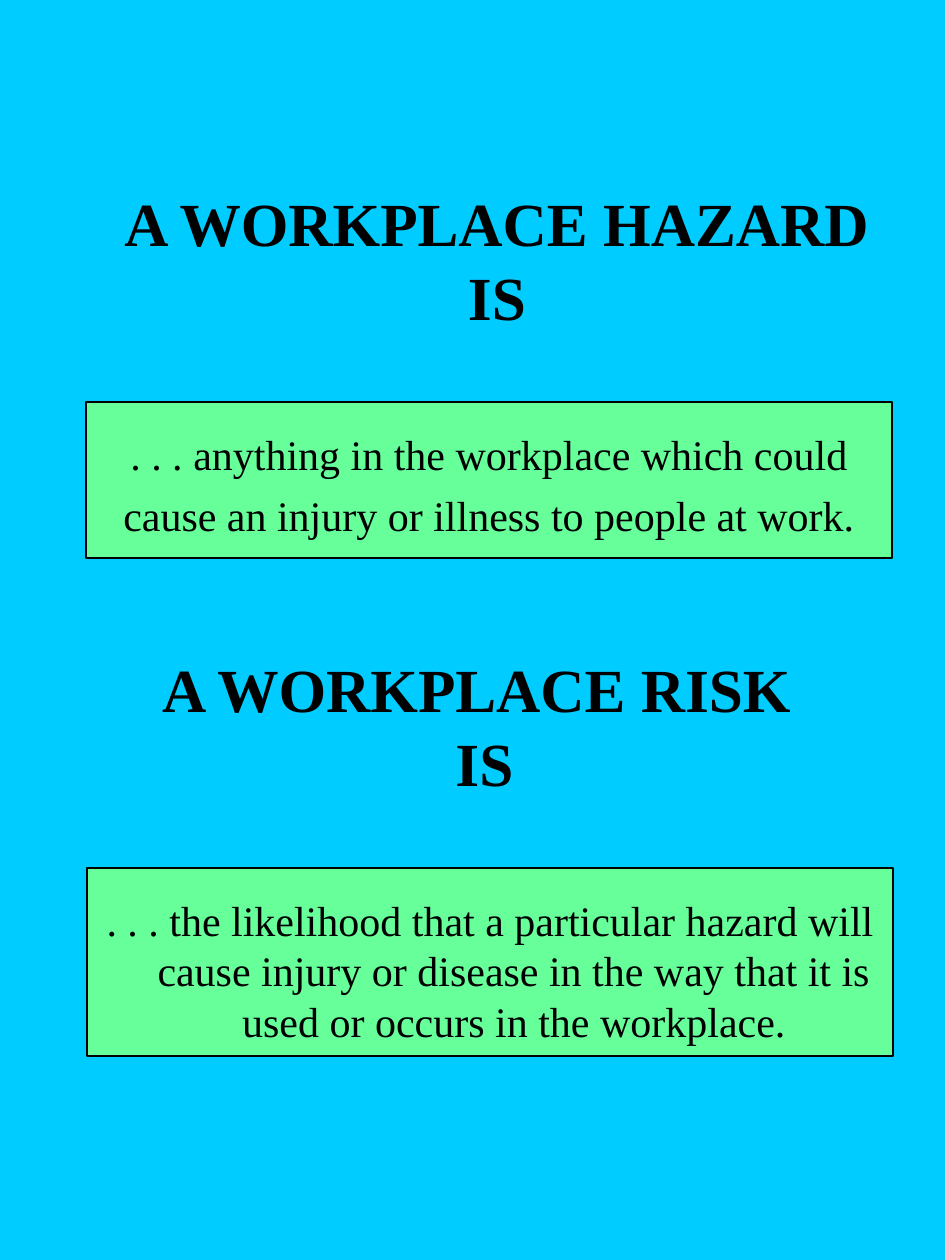
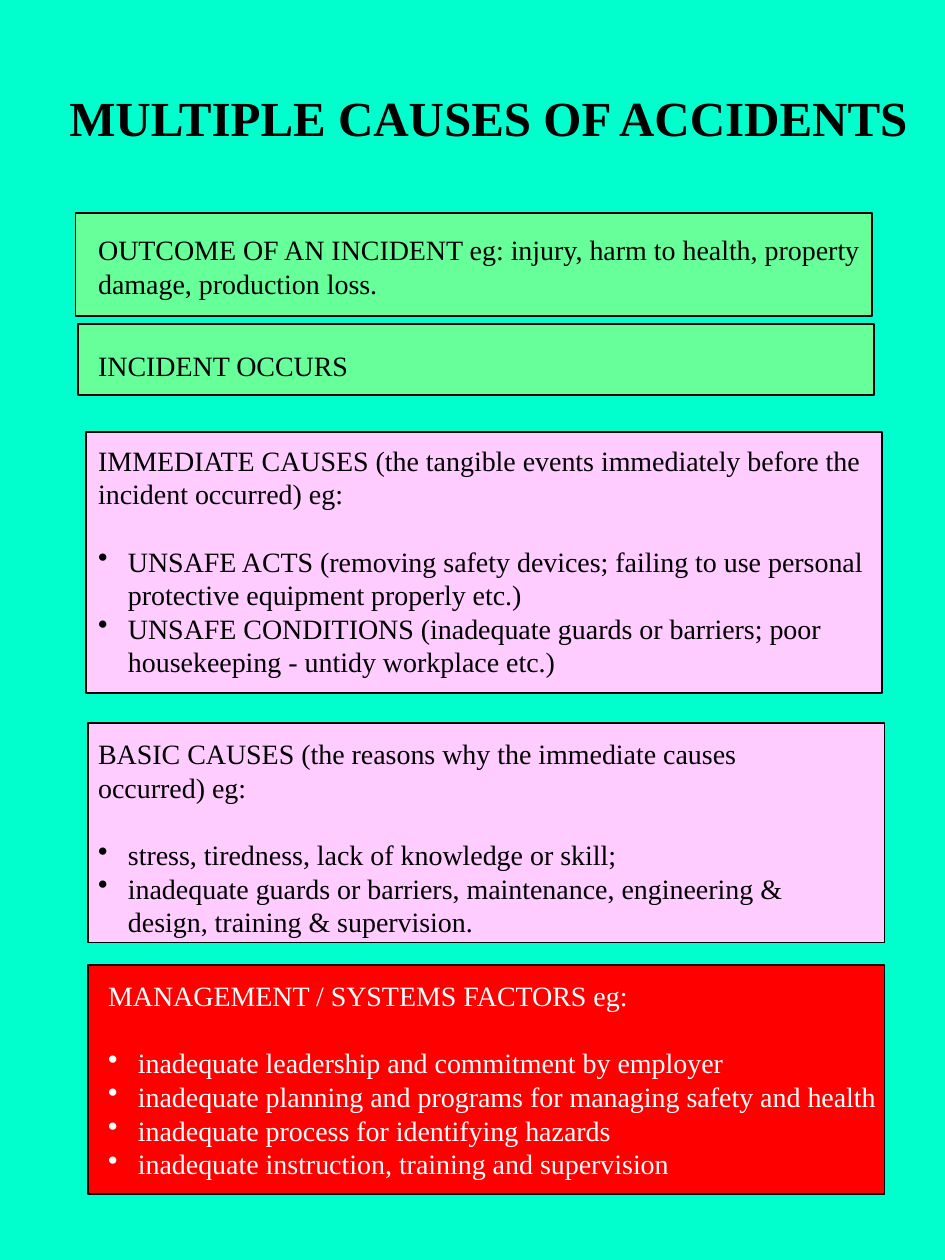
from lxml import etree
from pptx import Presentation
from pptx.dml.color import RGBColor
from pptx.enum.shapes import MSO_SHAPE
from pptx.enum.text import MSO_ANCHOR, PP_ALIGN
from pptx.oxml.ns import qn
from pptx.util import Pt

RECT = MSO_SHAPE.RECTANGLE
TOP, MIDDLE = MSO_ANCHOR.TOP, MSO_ANCHOR.MIDDLE
LEFT, CENTER = PP_ALIGN.LEFT, PP_ALIGN.CENTER

BLACK = RGBColor(0x00, 0x00, 0x00)
WHITE = RGBColor(0xFF, 0xFF, 0xFF)
SKY = RGBColor(0x00, 0xCC, 0xFF)
TURQUOISE = RGBColor(0x00, 0xFF, 0xCC)
GREEN = RGBColor(0x66, 0xFF, 0x99)
PINK = RGBColor(0xFF, 0xCC, 0xFF)
RED = RGBColor(0xFE, 0x00, 0x00)

FONT = "Times New Roman"
BULLET_INDENT = 17
HANGING = 27
LINE = 19.2
CARD_WIDTH = 455


class Deck:
    """Holds the shared style and the slide being filled."""

    def __init__(self, width, height):
        self.prs = Presentation()
        self.prs.slide_width, self.prs.slide_height = Pt(width), Pt(height)
        self.s = None

    def new_slide(self, background):
        self.s = self.prs.slides.add_slide(self.prs.slide_layouts[6])
        fill = self.s.background.fill
        fill.solid()
        fill.fore_color.rgb = background

    def panel(self, box, color):
        sp = self.s.shapes.add_shape(RECT, *map(Pt, box))
        sp.shadow.inherit = False
        sp.fill.solid()
        sp.fill.fore_color.rgb = color
        sp.line.color.rgb = BLACK
        sp.line.width = Pt(1)

    def frame(self, box, anchor=TOP):
        tf = self.s.shapes.add_textbox(*map(Pt, box)).text_frame
        tf.word_wrap = True
        tf.vertical_anchor = anchor
        return tf

    def paragraph(self, tf, text, size, color=BLACK, bold=False,
                  align=LEFT, before=0, left=0, bullet=False):
        p = tf.paragraphs[0]
        if p.runs:
            p = tf.add_paragraph()
        pPr = p._p.get_or_add_pPr()
        if left:
            pPr.set("marL", str(Pt(left)))
            pPr.set("indent", str(-Pt(left)))
        if bullet:
            etree.SubElement(pPr, qn("a:buChar")).set("char", "•")
        formats = {"alignment": align, "space_before": Pt(before)}
        for name, value in formats.items():
            setattr(p, name, value)
        r = p.add_run()
        r.text = text
        for name, value in {"name": FONT, "size": Pt(size), "bold": bold}.items():
            setattr(r.font, name, value)
        r.font.color.rgb = color

    def title(self, box, lines, size):
        tf = self.frame(box, MIDDLE)
        for line in lines:
            self.paragraph(tf, line, size, bold=True, align=CENTER)

    def definition(self, panel_box, text_box, lines):
        self.panel(panel_box, GREEN)
        tf = self.frame(text_box)
        for i, line in enumerate(lines):
            self.paragraph(tf, line, 24, align=CENTER, before=6 if i else 0,
                           left=HANGING)

    def cause(self, panel_box, text_box, fill, color, heading, bullets):
        """A filled panel with a heading and, one line lower, its bullets."""
        self.panel(panel_box, fill)
        tf = self.frame(text_box)
        self.paragraph(tf, heading, 16, color)
        for i, bullet in enumerate(bullets):
            self.paragraph(tf, bullet, 16, color, before=0 if i else LINE,
                           left=BULLET_INDENT, bullet=True)


def hazard_and_risk(deck):
    deck.new_slide(SKY)
    deck.title((54.7, 87.8, 458.6, 120.2), ["A WORKPLACE HAZARD IS"], 35)
    deck.definition((49, 229.7, 460.8, 89.3), (42.5, 241.2, 473.8, 72), [
        ". . . anything in the workplace which could",
        "cause an injury or illness to people at work.",
    ])
    deck.title((43.2, 354.2, 458.6, 120.2), ["A WORKPLACE RISK", " IS"], 35)
    deck.definition((49.7, 496.1, 460.8, 107.3), (43.2, 507.6, 473.8, 72), [
        ". . . the likelihood that a particular hazard will cause injury or "
        "disease in the way that it is used or occurs in the workplace.",
    ])


def causes_of_accidents(deck):
    deck.new_slide(TURQUOISE)
    deck.title((18, 31, 522, 72), ["MULTIPLE CAUSES OF ACCIDENTS"], 28)
    # panel left, top, height; text left, top, width, height; colours; wording
    causes = [
        ((43.2, 121.7, 59), (49, 129.6, 493.2, 45.4), GREEN, BLACK,
         "OUTCOME OF AN INCIDENT eg: injury, harm to health, property damage, "
         "production loss.", []),
        ((44.6, 185, 41), (49, 195.8, 511.2, 25.9), GREEN, BLACK,
         "INCIDENT OCCURS", []),
        ((49, 247, 149), (49, 249.8, 493.2, 141.1), PINK, BLACK,
         "IMMEDIATE CAUSES (the tangible events immediately before the "
         "incident occurred) eg:",
         ["UNSAFE ACTS (removing safety devices; failing to use personal "
          "protective equipment properly etc.)",
          "UNSAFE CONDITIONS (inadequate guards or barriers; poor "
          "housekeeping - untidy workplace etc.)"]),
        ((50.4, 413.3, 125.3), (49, 417.6, 409, 122.4), PINK, BLACK,
         "BASIC CAUSES (the reasons why the immediate causes occurred) eg:",
         ["stress, tiredness, lack of knowledge or skill;",
          "inadequate guards or barriers, maintenance, engineering & design, "
          "training & supervision."]),
        ((50.4, 551.5, 131), (54.7, 555.8, 487.4, 122.4), RED, WHITE,
         "MANAGEMENT / SYSTEMS FACTORS eg:",
         ["inadequate leadership and commitment by employer",
          "inadequate planning and programs for managing safety and health",
          "inadequate process for identifying hazards",
          "inadequate instruction, training and supervision"]),
    ]
    for (left, top, height), *rest in causes:
        deck.cause((left, top, CARD_WIDTH, height), *rest)


def main():
    deck = Deck(540, 720)
    hazard_and_risk(deck)
    causes_of_accidents(deck)
    deck.prs.save("out.pptx")


if __name__ == "__main__":
    main()
